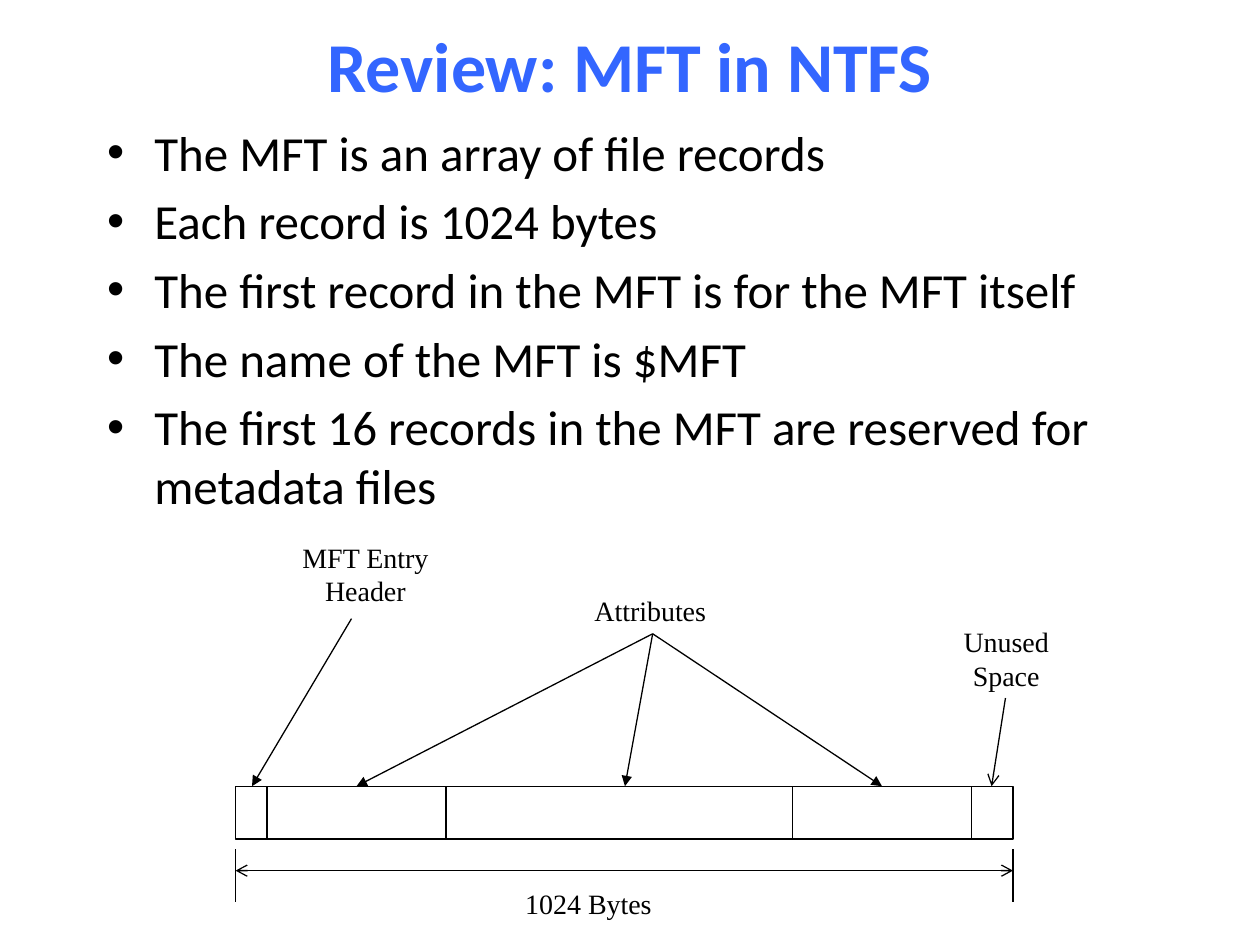
from dataclasses import dataclass

from lxml.etree import SubElement
from pptx import Presentation
from pptx.dml.color import RGBColor
from pptx.enum.shapes import MSO_CONNECTOR, MSO_SHAPE
from pptx.enum.text import MSO_ANCHOR as Anchor, MSO_AUTO_SIZE as AutoSize, PP_ALIGN as Align
from pptx.oxml.ns import qn
from pptx.util import Inches, Pt

BLACK, BLUE = "000000", "3366FF"
RECORD_LEFT, RECORD_RIGHT = 1.87, 8.04
RECORD_TOP, RECORD_HEIGHT = 6.24, 0.42
TICK_TOP, TICK_BOTTOM, SPAN_Y = 6.74, 7.16, 6.91
LINE_WIDTH = 0.75

TITLE_FONT = {"name": "Calibri", "size": Pt(40), "bold": True}
BULLET_FONT = {"name": "Calibri", "size": Pt(28)}
LABEL_FONT = {"name": "Times New Roman", "size": Pt(16)}


@dataclass
class Segment:
    left: float
    width: float


@dataclass
class Label:
    lines: tuple[str, ...]
    left: float
    top: float
    width: float
    height: float
    align: Align = Align.CENTER


@dataclass
class Line:
    start: tuple[float, float]
    end: tuple[float, float]
    head: str = ""
    tail: str = ""


def rgb(color: str) -> RGBColor:
    return RGBColor.from_string(color)


def style_font(paragraph, font_values: dict, color: str) -> None:
    for name, value in font_values.items():
        setattr(paragraph.font, name, value)
    paragraph.font.color.rgb = rgb(color)


def place(shape, left: float, top: float, width: float, height: float) -> None:
    box = {"left": left, "top": top, "width": width, "height": height}
    for name, value in box.items():
        setattr(shape, name, Inches(value))


def fill_placeholder(holder, lines: list[str], font_values: dict, color: str) -> None:
    frame = holder.text_frame
    frame.text = "\n".join(lines)
    frame.vertical_anchor = Anchor.TOP
    frame.auto_size = AutoSize.NONE
    for paragraph in frame.paragraphs:
        style_font(paragraph, font_values, color)


def draw_segment(shapes, segment: Segment) -> None:
    box = shapes.add_shape(
        MSO_SHAPE.RECTANGLE, Inches(segment.left), Inches(RECORD_TOP),
        Inches(segment.width), Inches(RECORD_HEIGHT))
    box.shadow.inherit = False
    box.fill.background()
    box.line.color.rgb = rgb(BLACK)
    box.line.width = Pt(LINE_WIDTH)


def draw_label(shapes, label: Label) -> None:
    box = shapes.add_textbox(*map(Inches, (label.left, label.top, label.width, label.height)))
    frame = box.text_frame
    frame.text = "\n".join(label.lines)
    frame.word_wrap = False
    frame.auto_size = AutoSize.SHAPE_TO_FIT_TEXT
    for paragraph in frame.paragraphs:
        paragraph.alignment = label.align
        style_font(paragraph, LABEL_FONT, BLACK)


def draw_line(shapes, line: Line) -> None:
    connector = shapes.add_connector(
        MSO_CONNECTOR.STRAIGHT, *map(Inches, (*line.start, *line.end)))
    connector.line.color.rgb = rgb(BLACK)
    connector.line.width = Pt(LINE_WIDTH)
    outline = connector.line._get_or_add_ln()
    for tag, arrow in (("a:headEnd", line.head), ("a:tailEnd", line.tail)):
        if arrow:
            SubElement(outline, qn(tag), type=arrow)
    SubElement(connector._element.spPr, qn("a:effectLst"))


def main() -> None:
    deck = Presentation()
    deck.slide_width, deck.slide_height = Inches(10), Inches(7.5)
    slide = deck.slides.add_slide(deck.slide_layouts[1])
    shapes = slide.shapes

    title, body = shapes.title, slide.placeholders[1]
    place(title, 0.75, 0.13, 8.5, 1.79)
    fill_placeholder(title, ["Review: MFT in NTFS"], TITLE_FONT, BLUE)
    place(body, 0.75, 0.92, 8.5, 5.75)
    fill_placeholder(body, [
        "The MFT is an array of file records",
        "Each record is 1024 bytes",
        "The first record in the MFT is for the MFT itself",
        "The name of the MFT is $MFT",
        "The first 16 records in the MFT are reserved for metadata files",
    ], BULLET_FONT, BLACK)

    # The last attribute lies inside the wide segment; the rest is unused space.
    segments = [
        Segment(RECORD_LEFT, 0.25),
        Segment(2.12, 1.42),
        Segment(3.54, RECORD_RIGHT - 3.54),
        Segment(6.29, 1.42),
    ]
    for segment in segments:
        draw_segment(shapes, segment)

    labels = [
        Label(("MFT Entry", "Header"), 2.29, 4.24, 1.22, 0.64),
        Label(("Attributes",), 4.62, 4.66, 1.1, 0.37, Align.LEFT),
        Label(("Unused", "Space"), 7.54, 4.91, 0.89, 0.64),
        Label(("1024 Bytes",), 4.07, 6.99, 1.22, 0.37, Align.LEFT),
    ]
    for label in labels:
        draw_label(shapes, label)

    attributes_point = (5.18, 5.03)
    pointers = [Line((2.79, 4.91), (2, RECORD_TOP), tail="triangle")]
    pointers += [Line(attributes_point, (x, RECORD_TOP), tail="triangle")
                 for x in (2.83, 4.96, 7)]
    pointers.append(Line((7.98, 5.54), (7.87, RECORD_TOP), tail="arrow"))
    ticks = [Line((x, TICK_TOP), (x, TICK_BOTTOM)) for x in (RECORD_LEFT, RECORD_RIGHT)]
    span = Line((RECORD_LEFT, SPAN_Y), (RECORD_RIGHT, SPAN_Y), head="arrow", tail="arrow")
    for line in (*pointers, *ticks, span):
        draw_line(shapes, line)

    deck.save("out.pptx")


if __name__ == "__main__":
    main()
